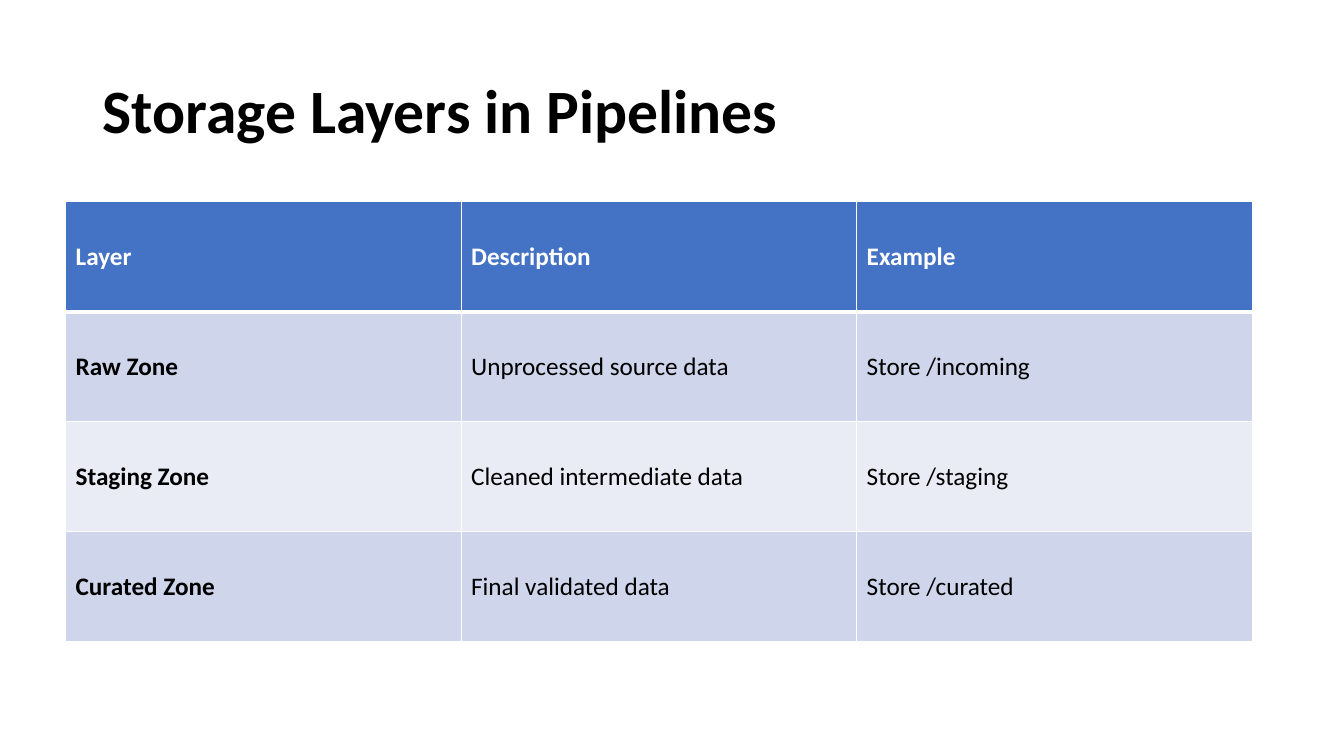
from lxml import etree
from pptx import Presentation
from pptx.dml.color import RGBColor
from pptx.enum.text import MSO_ANCHOR
from pptx.oxml.ns import qn
from pptx.util import Inches, Pt

MIDDLE = MSO_ANCHOR.MIDDLE
WHITE, BLACK, BLUE = "FFFFFF", "000000", "4472C4"
BANDS = ["E9EBF5", "CFD5EA"]


def style(par, size, color, bold):
    font = par.runs[0].font
    font.name, font.size, font.bold = "Calibri", Pt(size), bold
    font.color.rgb = RGBColor.from_string(color)


def border(cell, side, width):
    line = etree.SubElement(cell._tc.get_or_add_tcPr(), qn("a:ln" + side),
                            w=str(Pt(width)))
    fill = etree.SubElement(line, qn("a:solidFill"))
    etree.SubElement(fill, qn("a:srgbClr"), val=WHITE)


deck = Presentation()
deck.slide_width, deck.slide_height = Inches(13.33), Inches(7.5)
slide = deck.slides.add_slide(deck.slide_layouts[6])

# Title
title = slide.shapes.add_textbox(
    Inches(0.92), Inches(0.4), Inches(11.5), Inches(1.45)).text_frame
title.word_wrap = True
title.vertical_anchor = MIDDLE
title.text = "Storage Layers in Pipelines"
title.paragraphs[0].line_spacing = 0.9
style(title.paragraphs[0], 44, BLACK, True)

# Table of layers
rows = [
    ["Layer", "Description", "Example"],
    ["Raw Zone", "Unprocessed source data", "Store /incoming"],
    ["Staging Zone", "Cleaned intermediate data", "Store /staging"],
    ["Curated Zone", "Final validated data", "Store /curated"],
]
table = slide.shapes.add_table(
    len(rows), len(rows[0]),
    Inches(0.65), Inches(2), Inches(11.77), Inches(4.37)).table

for r, row in enumerate(rows):
    head = r == 0
    for c, text in enumerate(row):
        cell = table.cell(r, c)
        cell.text = text
        cell.vertical_anchor = MIDDLE
        style(cell.text_frame.paragraphs[0], 18,
              WHITE if head else BLACK, head or c == 0)

        # The rule under the header is thicker
        for side in "LRTB":
            thick = (r, side) in [(0, "B"), (1, "T")]
            border(cell, side, 3 if thick else 1)
        cell.fill.solid()
        cell.fill.fore_color.rgb = RGBColor.from_string(
            BLUE if head else BANDS[r % 2])

deck.save("out.pptx")
